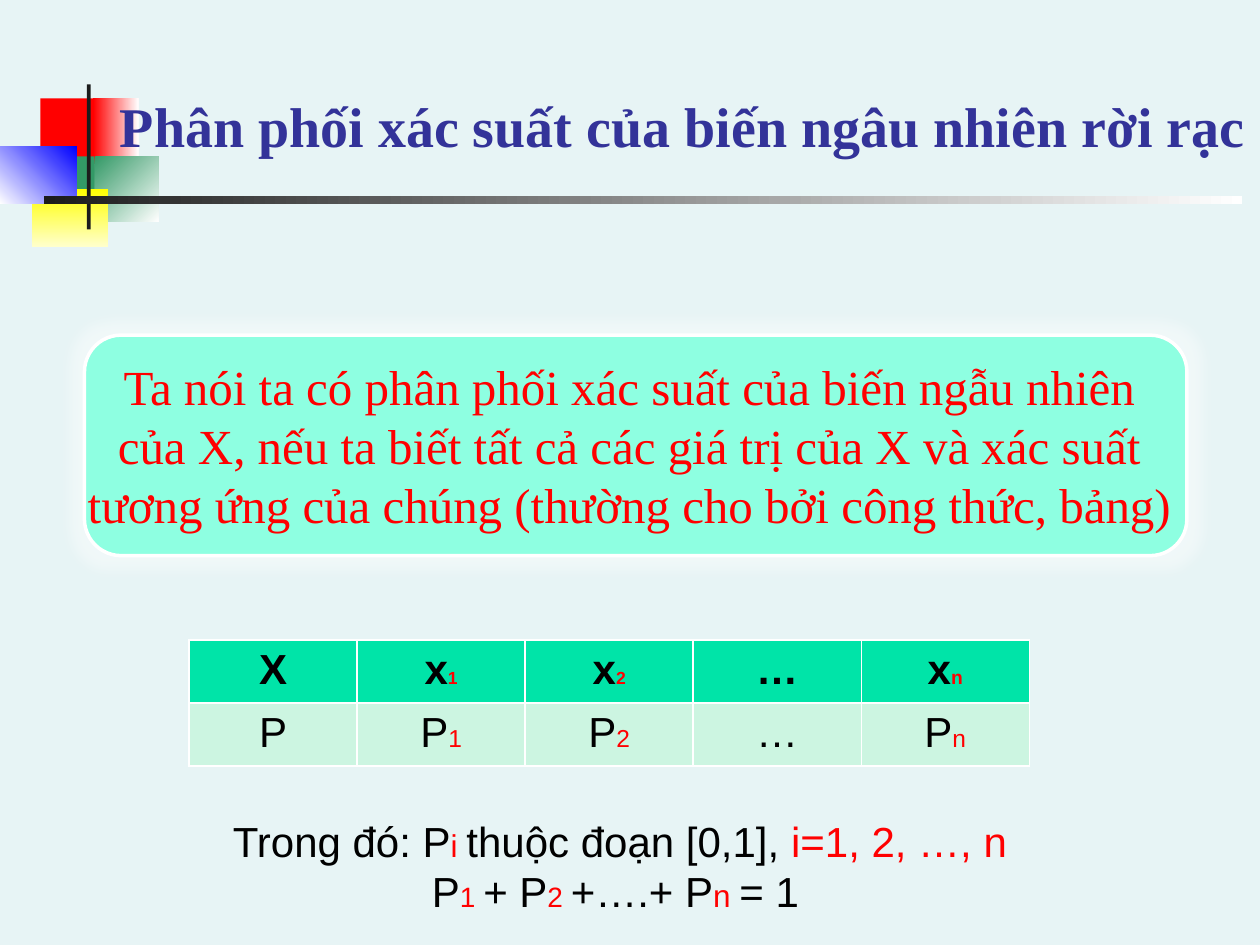
from lxml import etree
from pptx import Presentation
from pptx.dml.color import RGBColor
from pptx.enum.shapes import MSO_SHAPE
from pptx.enum.text import MSO_ANCHOR, PP_ALIGN
from pptx.oxml.ns import qn
from pptx.util import Inches, Pt

RECT, ROUNDED = MSO_SHAPE.RECTANGLE, MSO_SHAPE.ROUNDED_RECTANGLE
CENTER, BOTTOM = PP_ALIGN.CENTER, MSO_ANCHOR.BOTTOM
TITLE_ONLY = 5

COLORS = {name: RGBColor.from_string(code) for name, code in {
    "background": "E7F4F5", "title": "333399", "black": "000000",
    "white": "FFFFFF", "red": "FF0000", "green": "339966",
    "yellow": "FFFF00", "cream": "FFFFCC", "blue": "0000FF",
    "charcoal": "1C1C1C", "mint": "8EFFE1", "header": "00E4A8",
    "row": "CCF5E1",
}.items()}


def add_block(kind, box, fill, fade=None, angle=0):
    """Add a borderless shape, plain or fading to a second colour (angle clockwise)."""
    block = slide.shapes.add_shape(kind, *map(Inches, box))
    block.shadow.inherit = False
    block.line.fill.background()
    if fade:
        block.fill.gradient()
        block.fill.gradient_angle = -angle % 360
        for stop, color in zip(block.fill.gradient_stops, (fill, fade)):
            stop.color.rgb = COLORS[color]
    else:
        block.fill.solid()
        block.fill.fore_color.rgb = COLORS[fill]
    return block


def add_runs(paragraph, runs, bold=False):
    paragraph.font.name = "Arial"
    paragraph.font.bold = bold
    for text, size, color in runs:
        run = paragraph.add_run()
        run.text = text
        run.font.size = Pt(size)
        run.font.color.rgb = COLORS[color]


prs = Presentation()
prs.slide_width, prs.slide_height = Inches(10), Inches(7.5)
slide = prs.slides.add_slide(prs.slide_layouts[TITLE_ONLY])
slide.background.fill.solid()
slide.background.fill.fore_color.rgb = COLORS["background"]

# Corner ornament and rule
for box, *fill in [
    ((0.32, 0.78, 0.48, 0.52), "red"),
    ((0.74, 0.78, 0.36, 0.52), "red", "white", 0),
    ((0.75, 1.24, 0.51, 0.52), "green", "white", 45),
    ((0.43, 1.24, 0.32, 0.52), "green"),
    ((0.25, 1.5, 0.61, 0.46), "yellow", "cream", 90),
    ((0, 1.16, 0.61, 0.46), "white", "blue", 315),
    ((0.69, 0.67, 0.03, 1.15), "charcoal"),
    ((0.35, 1.56, 9.51, 0.06), "charcoal", "white", 0),
]:
    add_block(RECT, box, *fill)

# Title, moved in front of the ornament
title = slide.shapes.title
slide.shapes._spTree.append(title._element)
title.left, title.top, title.width, title.height = map(Inches, (0.42, 0.58, 10, 0.73))
title.text_frame.text = "Phân phối xác suất của biến ngâu nhiên rời rạc"
title.text_frame.vertical_anchor = BOTTOM
heading = title.text_frame.paragraphs[0]
heading.alignment = CENTER
heading.font.name, heading.font.size, heading.font.bold = "Times New Roman", Pt(32), True
heading.font.color.rgb = COLORS["title"]

# Definition on a glowing panel
panel = add_block(ROUNDED, (0.67, 2.66, 8.75, 1.75), "mint")
panel.line.color.rgb = COLORS["white"]
panel.line.width = Pt(2)
effects = panel._element.spPr.find(qn("a:effectLst"))
glow = etree.SubElement(effects, qn("a:glow"), rad=str(Inches(0.2)))
glow_color = etree.SubElement(glow, qn("a:srgbClr"), val=str(COLORS["white"]))
etree.SubElement(glow_color, qn("a:alpha"), val="40000")

definition = slide.shapes.add_textbox(*map(Inches, (0.58, 2.78, 8.83, 1.51))).text_frame
definition.word_wrap = True
definition.text = (
    "Ta nói ta có phân phối xác suất của biến ngẫu nhiên của X, "
    "nếu ta biết tất cả các giá trị của X và xác suất tương ứng "
    "của chúng (thường cho bởi công thức, bảng)"
)
sentence = definition.paragraphs[0]
sentence.alignment = CENTER
sentence.font.name, sentence.font.size = "Times New Roman", Pt(28)
sentence.font.color.rgb = COLORS["red"]

# Distribution table: (symbol, subscript, subscript size)
distribution = [
    ("header", [("X",), ("x", "1", 10), ("x", "2", 10), ("…",), ("x", "n", 11)]),
    ("row", [("P",), ("P", "1", 14), ("P", "2", 14), ("…",), ("P", "n", 14)]),
]
table = slide.shapes.add_table(2, 5, *map(Inches, (1.5, 5.08, 6.67, 1))).table
table.horz_banding = False
for r, (fill, entries) in enumerate(distribution):
    for c, (symbol, *subscript) in enumerate(entries):
        cell = table.cell(r, c)
        cell.fill.solid()
        cell.fill.fore_color.rgb = COLORS[fill]
        runs = [(symbol, 24, "black")]
        if subscript:
            runs.append((*subscript, "red"))
        paragraph = cell.text_frame.paragraphs[0]
        paragraph.alignment = CENTER
        add_runs(paragraph, runs, bold=r == 0)

# Conditions on the probabilities
conditions = slide.shapes.add_textbox(*map(Inches, (1.75, 6.42, 6.4, 0.91))).text_frame
conditions.word_wrap = True
add_runs(conditions.paragraphs[0], [
    ("Trong đó: P", 24, "black"), ("i ", 18, "red"),
    ("thuộc đoạn [0,1], ", 24, "black"), ("i=1, 2, …, n", 24, "red"),
])
total = conditions.add_paragraph()
total._p.get_or_add_pPr().set("marL", str(Inches(1.58)))
add_runs(total, [
    ("P", 24, "black"), ("1 ", 16, "red"), ("+ P", 24, "black"), ("2 ", 16, "red"),
    ("+….+ P", 24, "black"), ("n ", 18, "red"), ("= 1", 24, "black"),
])

prs.save("out.pptx")
